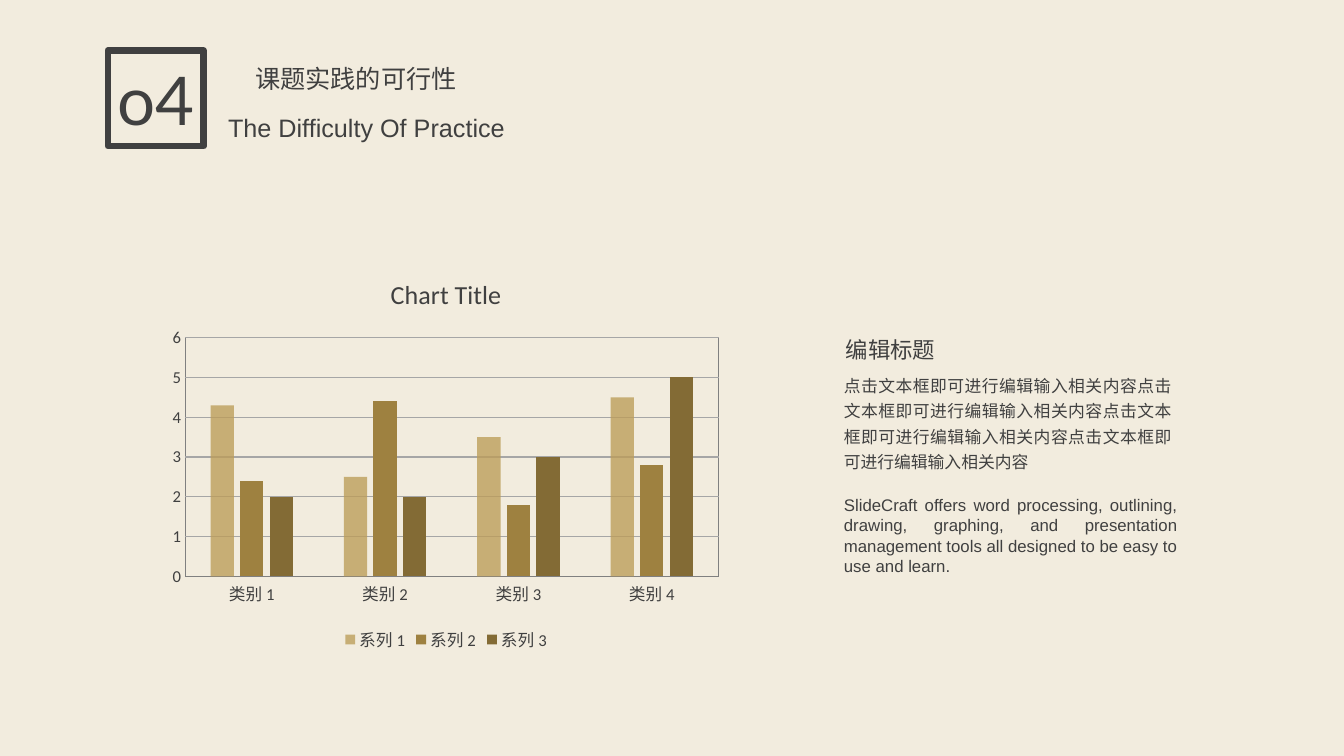
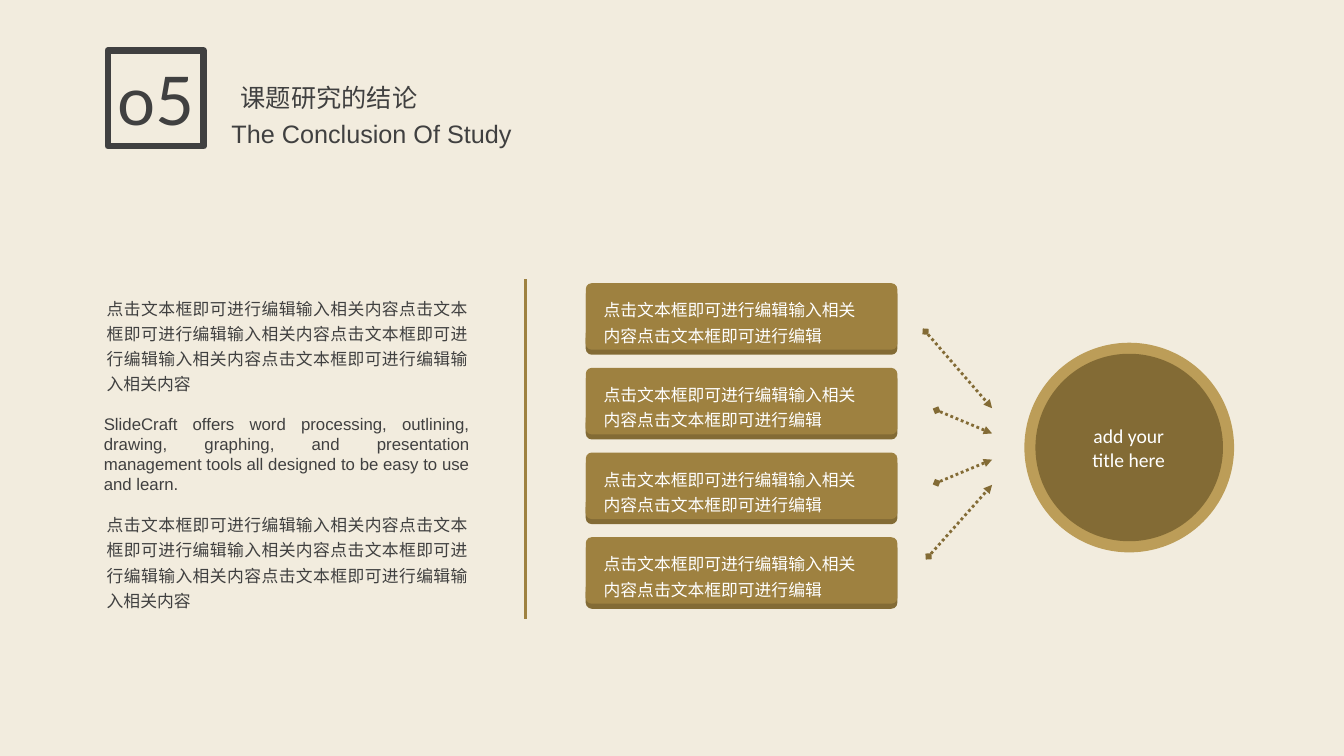
"""Build two slides: a column chart on feasibility and a summary of conclusions."""
from lxml.etree import SubElement
from pptx import Presentation
from pptx.chart.data import CategoryChartData
from pptx.dml.color import RGBColor
from pptx.enum.chart import XL_CHART_TYPE, XL_LEGEND_POSITION, XL_TICK_MARK
from pptx.enum.dml import MSO_LINE
from pptx.enum.shapes import MSO_CONNECTOR, MSO_SHAPE
from pptx.enum.text import MSO_ANCHOR, PP_ALIGN
from pptx.oxml import parse_xml
from pptx.oxml.ns import nsdecls, qn
from pptx.util import Inches, Pt

PAPER, INK, WHITE = "F2ECDE", "404040", "FFFFFF"
TAN, GOLD, BROWN = "BC9D58", "9E8140", "836B35"
HAN, LATIN, BODY, NUMBER = "Noto Sans CJK SC", "Arial", "Calibri", "Lato"
LEFT, CENTER, JUSTIFY = PP_ALIGN.LEFT, PP_ALIGN.CENTER, PP_ALIGN.JUSTIFY
CLAUSE = "点击文本框即可进行编辑输入相关内容"
HAN_TEXT = CLAUSE * 4
ROW_TEXT = CLAUSE + CLAUSE[:11]
ENGLISH = ("SlideCraft offers word processing, outlining, drawing, graphing, and "
           "presentation management tools all designed to be easy to use and learn.")


def paint(item, color):
    """Give a fill, line or font a solid colour."""
    if hasattr(item, "solid"):
        item.solid()
        item.fore_color.rgb = RGBColor.from_string(color)
    else:
        item.color.rgb = RGBColor.from_string(color)


def write(shape, text, size, font, color=INK, align=LEFT, space=None,
          inset=(0.1, 0.05, 0.1, 0.05), wrap=True):
    """Fill a shape with evenly styled paragraphs."""
    frame = shape.text_frame
    frame.word_wrap = wrap
    frame.vertical_anchor = MSO_ANCHOR.TOP
    (frame.margin_left, frame.margin_top,
     frame.margin_right, frame.margin_bottom) = map(Inches, inset)
    frame.text = text
    for para in frame.paragraphs:
        para.alignment = align
        if space:
            para.line_spacing = space
        para.font.size = Pt(size)
        paint(para.font, color)
        para.font.name = font
        props = para._p.pPr.find(qn("a:defRPr"))
        SubElement(props, qn("a:ea"), typeface=font)


deck = Presentation()
deck.slide_width, deck.slide_height = Inches(13.33), Inches(7.5)
paint(deck.slide_master.background.fill, PAPER)

heads = [
    ("o4", ("课题实践的可行性", (0.82, 0.58, 5.42, 0.4), CENTER, None, True),
     ("The Difficulty Of Practice", 0.89, 1.07)),
    ("o5", ("课题研究的结论", (2.29, 0.47, 1.97, 0.62), LEFT, 2.0, False),
     ("The Conclusion Of Study", 0.94, 1.12)),
]
pages = []
for number, (title, spot, align, space, wrap), (sub, left, top) in heads:
    shapes = deck.slides.add_slide(deck.slide_layouts[6]).shapes
    pages.append(shapes)
    frame = shapes.add_shape(MSO_SHAPE.RECTANGLE, Inches(1.07), Inches(0.5),
                             Inches(0.95), Inches(0.95))
    frame.shadow.inherit = False
    frame.fill.background()
    paint(frame.line, INK)
    frame.line.width = Pt(4.5)
    box = shapes.add_textbox(Inches(0.96), Inches(0.53), Inches(1.17), Inches(0.91))
    write(box, number, 48, NUMBER, align=CENTER)
    box = shapes.add_textbox(*map(Inches, spot))
    write(box, title, 18, HAN, align=align, space=space, wrap=wrap)
    box = shapes.add_textbox(Inches(left), Inches(top), Inches(5.49), Inches(0.4))
    write(box, sub, 18, LATIN, align=CENTER)
first, second = pages

data = CategoryChartData()
data.categories = [f"类别 {n}" for n in range(1, 5)]
data.add_series("系列 1", (4.3, 2.5, 3.5, 4.5))
data.add_series("系列 2", (2.4, 4.4, 1.8, 2.8))
data.add_series("系列 3", (2, 2, 3, 5))
chart = first.add_chart(XL_CHART_TYPE.COLUMN_CLUSTERED, Inches(1.61), Inches(2.56),
                        Inches(5.63), Inches(3.95), data).chart
chart.font.name, chart.font.size = BODY, Pt(11.9)
paint(chart.font, INK)
chart.has_title = True
chart.chart_title.text_frame.text = "Chart Title"
title = chart.chart_title.text_frame.paragraphs[0].font
title.name, title.size, title.bold = BODY, Pt(18.6), False
paint(title, INK)
chart.has_legend = True
chart.legend.position = XL_LEGEND_POSITION.BOTTOM
chart.legend.include_in_layout = False

plot = chart.plots[0]
plot.gap_width, plot.overlap, plot.vary_by_categories = 219, -27, False
for series, color in zip(plot.series, (TAN, GOLD, BROWN)):
    paint(series.format.fill, color)
    series.invert_if_negative = False
tone = plot.series[0].format.fill._xPr.find(".//" + qn("a:srgbClr"))
SubElement(tone, qn("a:alpha"), val="78000")

for axis in (chart.category_axis, chart.value_axis):
    axis.major_tick_mark = axis.minor_tick_mark = XL_TICK_MARK.NONE
paint(chart.category_axis.format.line, "808080")
chart.category_axis.format.line.width = Pt(0.75)
scale = chart.value_axis
scale.minimum_scale, scale.maximum_scale, scale.major_unit = 0, 6, 1
scale.format.line.fill.background()
grid = scale.major_gridlines.format.line
paint(grid, "A6A6A6")
grid.width = Pt(0.75)

area = chart._chartSpace.chart.plotArea
for old in area.findall(qn("c:layout")):
    area.remove(old)
place = parse_xml(f'<c:layout {nsdecls("c")}><c:manualLayout>'
                  '<c:layoutTarget val="inner"/><c:xMode val="edge"/><c:yMode val="edge"/>'
                  '<c:x val="0.04"/><c:y val="0.2"/><c:w val="0.94"/><c:h val="0.6"/>'
                  '</c:manualLayout></c:layout>')
area.insert(0, place)
area.append(parse_xml(f'<c:spPr {nsdecls("c", "a")}><a:noFill/><a:ln w="9525"><a:solidFill>'
                      '<a:srgbClr val="808080"/></a:solidFill></a:ln></c:spPr>'))

box = first.add_textbox(Inches(8.29), Inches(3.29), Inches(1.49), Inches(0.37))
write(box, "编辑标题", 16, HAN)

blocks = [
    (first, 8.27, 3.63, 3.45, 1.11, HAN_TEXT),
    (first, 8.37, 4.91, 3.31, 0.81, ENGLISH),
    (second, 0.96, 2.86, 3.78, 1.11, HAN_TEXT),
    (second, 1.03, 4.1, 3.63, 0.81, ENGLISH),
    (second, 0.96, 5.01, 3.78, 1.11, HAN_TEXT),
]
for shapes, left, top, width, height, text in blocks:
    box = shapes.add_textbox(Inches(left), Inches(top), Inches(width), Inches(height))
    if text == ENGLISH:
        write(box, text, 12, LATIN, align=JUSTIFY, inset=(0, 0, 0, 0))
    else:
        write(box, text, 12, HAN, align=JUSTIFY, space=1.25)

for row in range(4):
    for drop, color in ((0.05, BROWN), (0, GOLD)):
        card = second.add_shape(MSO_SHAPE.ROUNDED_RECTANGLE, Inches(5.81),
                                Inches(2.81 + 0.84 * row + drop), Inches(3.09), Inches(0.66))
        card.adjustments[0] = 0.09
        card.shadow.inherit = False
        paint(card.fill, color)
        card.line.fill.background()
    write(card, ROW_TEXT, 12, HAN, WHITE, space=1.25, inset=(0.16, 0.1, 0.23, 0))

for radius, color in ((1.04, TAN), (0.93, BROWN)):
    disc = second.add_shape(MSO_SHAPE.OVAL, Inches(11.2 - radius), Inches(4.44 - radius),
                            Inches(2 * radius), Inches(2 * radius))
    disc.shadow.inherit = False
    paint(disc.fill, color)
    disc.line.fill.background()
box = second.add_textbox(Inches(10.45), Inches(4.16), Inches(1.49), Inches(0.52))
write(box, "add your\ntitle here", 14, BODY, WHITE, CENTER)

lines = [
    (5.21, 2.77, 5.21, 6.14),
    (9.18, 3.29, 9.84, 4.05),
    (9.29, 4.07, 9.84, 4.3),
    (9.29, 4.79, 9.84, 4.56),
    (9.21, 5.52, 9.84, 4.81),
]
for ends in lines:
    link = second.add_connector(MSO_CONNECTOR.STRAIGHT, *map(Inches, ends))
    SubElement(link._element.spPr, qn("a:effectLst"))
    if ends[0] == ends[2]:
        paint(link.line, GOLD)
        link.line.width = Pt(2.25)
    else:
        paint(link.line, BROWN)
        link.line.width = Pt(2)
        link.line.dash_style = MSO_LINE.ROUND_DOT
        stroke = link.line._get_or_add_ln()
        SubElement(stroke, qn("a:headEnd"), type="diamond")
        SubElement(stroke, qn("a:tailEnd"), type="triangle")

deck.save("out.pptx")
